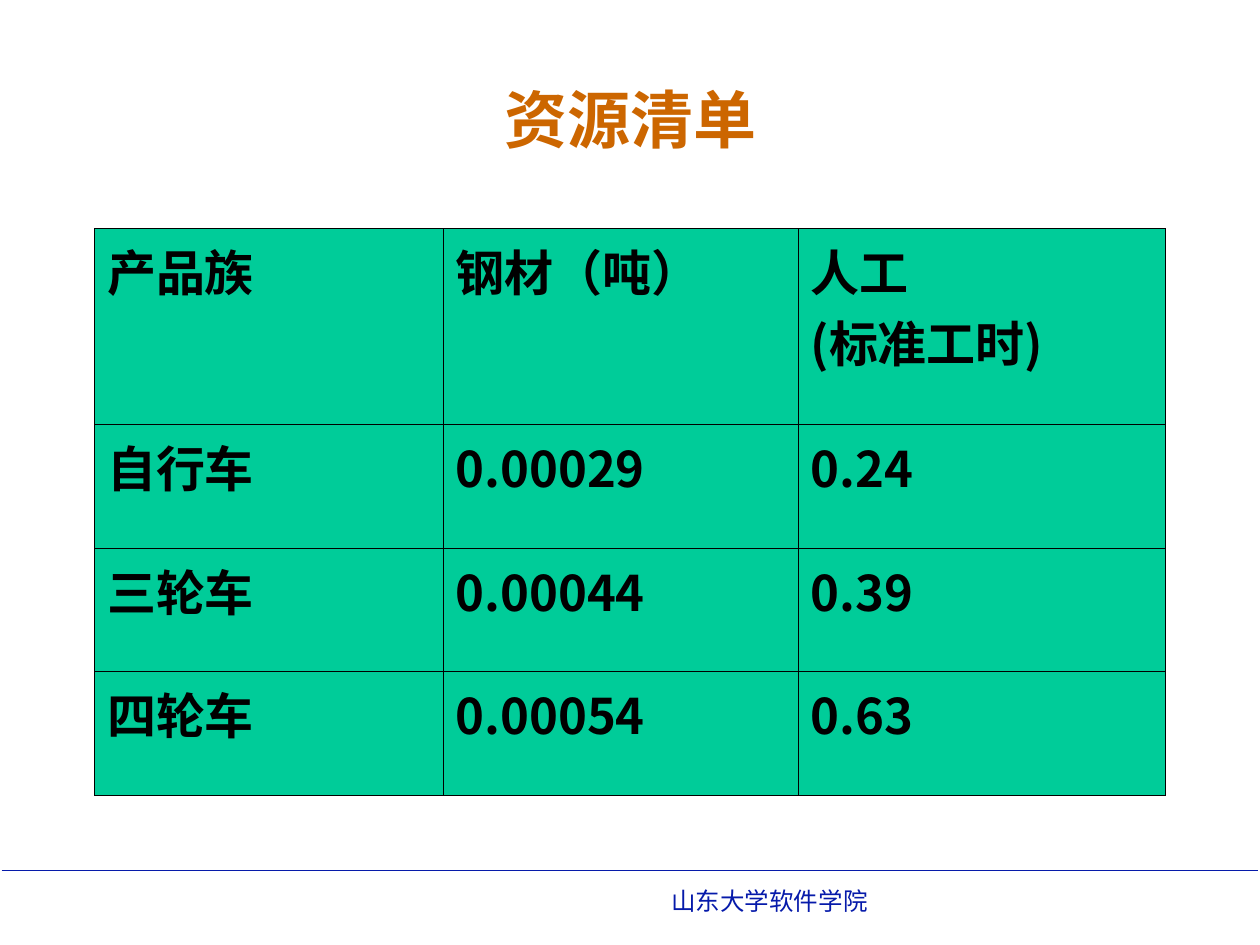
from lxml.etree import SubElement
from pptx import Presentation
from pptx.dml.color import RGBColor
from pptx.enum.shapes import MSO_CONNECTOR
from pptx.enum.text import MSO_ANCHOR, MSO_AUTO_SIZE, PP_ALIGN
from pptx.oxml.ns import qn
from pptx.util import Pt

BLACK = RGBColor(0x00, 0x00, 0x00)
BLUE = RGBColor(0x06, 0x1A, 0xAA)
GREEN = RGBColor(0x00, 0xCC, 0x99)
ORANGE = RGBColor(0xCC, 0x66, 0x00)
CHINESE_FONT = "Noto Sans CJK SC"

COLUMN_WIDTHS = [199.2, 202.8, 210]
ROW_HEIGHTS = [112.2, 70.6, 70.6, 70.6]
RESOURCES = [
    ["产品族", "钢材（吨）", "人工\n(标准工时)"],
    ["自行车", "0.00029", "0.24"],
    ["三轮车", "0.00044", "0.39"],
    ["四轮车", "0.00054", "0.63"],
]


def format_paragraph(paragraph, font_name, size, color, bold, alignment):
    paragraph.alignment = alignment
    font = paragraph.font
    font.name = font_name
    font.size = Pt(size)
    font.bold = bold
    font.color.rgb = color
    properties = paragraph._p.pPr.find(qn("a:defRPr"))
    SubElement(properties, qn("a:ea"), typeface=font_name)


def add_title(slide, text):
    title = slide.shapes.title
    title.left, title.top, title.width, title.height = Pt(54), Pt(22.5), Pt(612), Pt(90)
    frame = title.text_frame
    frame.text = text
    frame.auto_size = MSO_AUTO_SIZE.NONE
    frame.vertical_anchor = MSO_ANCHOR.MIDDLE
    format_paragraph(frame.paragraphs[0], CHINESE_FONT, 36, ORANGE, True, PP_ALIGN.CENTER)


def set_borders(cell):
    properties = cell._tc.get_or_add_tcPr()
    for side in ("lnL", "lnR", "lnT", "lnB"):
        line = SubElement(properties, qn(f"a:{side}"), w=str(Pt(0.45)))
        fill = SubElement(line, qn("a:solidFill"))
        SubElement(fill, qn("a:srgbClr"), val=str(BLACK))


def fill_cell(cell, text):
    set_borders(cell)
    cell.fill.solid()
    cell.fill.fore_color.rgb = GREEN
    cell.margin_left = cell.margin_right = Pt(7.2)
    cell.margin_top = cell.margin_bottom = Pt(3.6)
    cell.text = text
    for paragraph in cell.text_frame.paragraphs:
        format_paragraph(paragraph, CHINESE_FONT, 28, BLACK, True, PP_ALIGN.JUSTIFY)
        paragraph._p.pPr.set("marL", str(Pt(27)))
        paragraph._p.pPr.set("indent", str(Pt(-27)))


def add_resource_table(slide):
    table = slide.shapes.add_table(
        len(RESOURCES), len(COLUMN_WIDTHS),
        Pt(54), Pt(130.5), Pt(sum(COLUMN_WIDTHS)), Pt(sum(ROW_HEIGHTS)),
    ).table
    for column, width in zip(table.columns, COLUMN_WIDTHS):
        column.width = Pt(width)
    for row, height, texts in zip(table.rows, ROW_HEIGHTS, RESOURCES):
        row.height = Pt(height)
        for cell, text in zip(row.cells, texts):
            fill_cell(cell, text)


def add_footer_rule(slide):
    rule = slide.shapes.add_connector(
        MSO_CONNECTOR.STRAIGHT, Pt(1), Pt(497.5), Pt(719), Pt(497.5)
    )
    rule.line.color.rgb = BLUE
    rule.line.width = Pt(1)
    SubElement(rule._element.spPr, qn("a:effectLst"))


def add_footer_text(slide, text):
    box = slide.shapes.add_textbox(Pt(376.5), Pt(502.5), Pt(312), Pt(24.5))
    frame = box.text_frame
    frame.word_wrap = True
    frame.text = text
    format_paragraph(frame.paragraphs[0], "Arial", 14, BLUE, False, PP_ALIGN.LEFT)


def main():
    presentation = Presentation()
    presentation.slide_width = Pt(720)
    presentation.slide_height = Pt(540)
    slide = presentation.slides.add_slide(presentation.slide_layouts[5])
    add_footer_rule(slide)
    add_footer_text(slide, "山东大学软件学院")
    add_title(slide, "资源清单")
    add_resource_table(slide)
    presentation.save("out.pptx")


if __name__ == "__main__":
    main()
